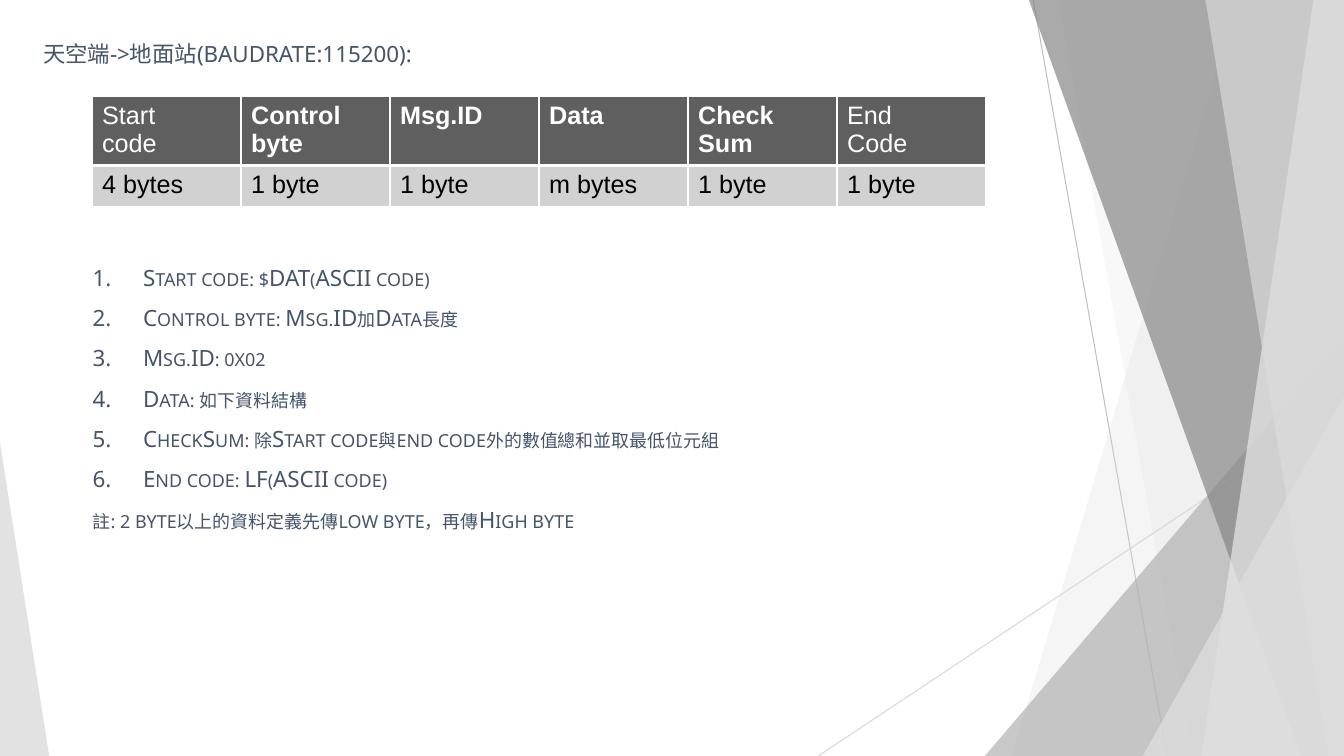
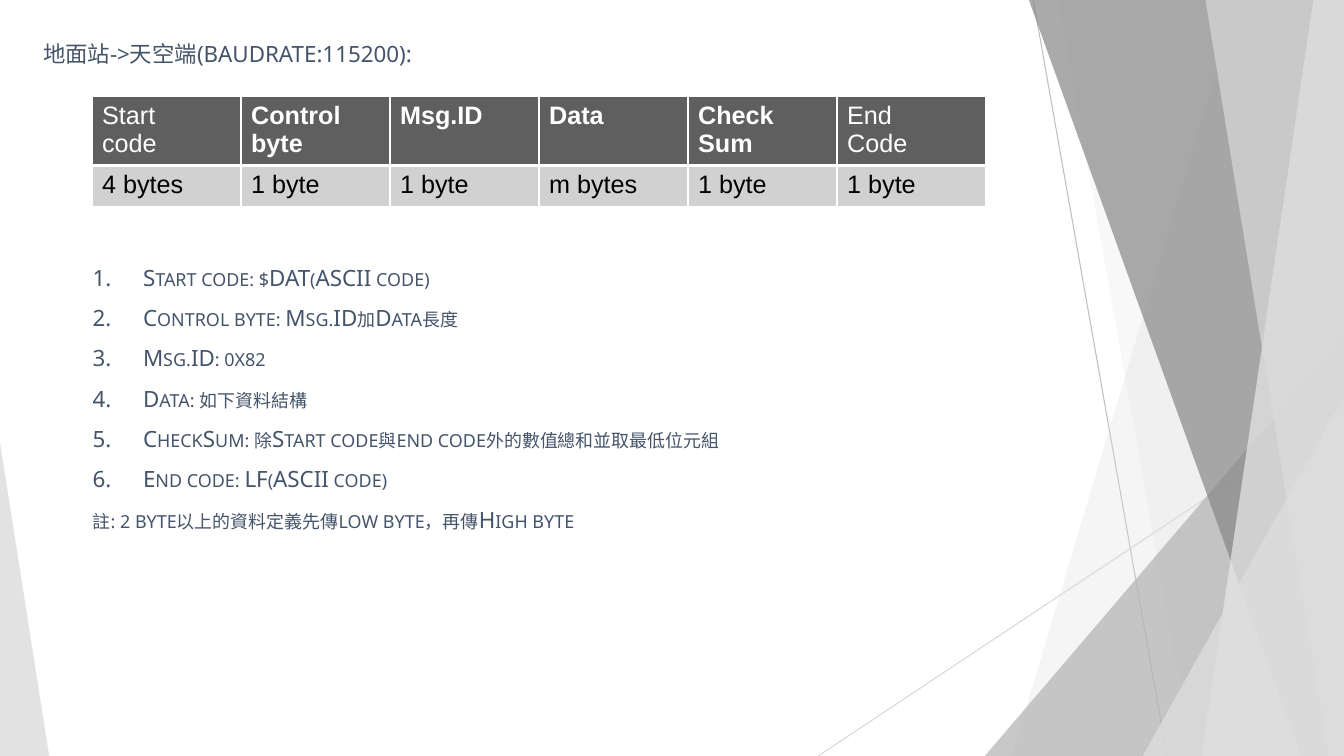
from lxml import etree
from pptx import Presentation
from pptx import util as u
from pptx.dml.color import RGBColor
from pptx.enum import shapes, text
from pptx.oxml import ns

COLORS = {
    "heading": "44546A", "white": "FFFFFF", "black": "000000",
    "header": "5F5F5F", "cell": "D1D1D1",
    "thin_dark": "BFBFBF", "thin_light": "D8D8D8",
    "pale": "DDDDDD", "mid": "B2B2B2", "dark": "858585", "bright": "EAEAEA",
}
BODY_FONT, TABLE_FONT = "Noto Sans", "Arial"
SLIDE_W, SLIDE_H = 33.87, 19.05

RAYS = [
    ((26.04, 0), (29.41, SLIDE_H), "thin_dark"),
    ((SLIDE_W, 10.24), (20.62, SLIDE_H), "thin_light"),
]
FACETS = [
    ("band", (31.19, 25.5), "pale", 29),
    ("band", (26.67, 30.05), "pale", 20),
    ("wedge", (24.82, 8.46, 9.05, 10.59, 1), "mid", 71),
    ("band", (25.93, 32.79), "dark", 69),
    ("band", (33.1, 30.28), "bright", 69),
    ("band", (30.38, 33.48), "pale", 64),
    ("wedge", (28.8, 9.98, 5.07, 9.07, 1), "pale", 80),
    ("wedge", (0, 11.15, 1.24, 7.9, 0), "pale", 84),
]
FRAME_FIELDS = [
    ("Start\ncode", "4 bytes", False),
    ("Control byte", "1 byte", True),
    ("Msg.ID", "1 byte", True),
    ("Data", "m bytes", True),
    ("Check\nSum", "1 byte", True),
    ("End\nCode", "1 byte", False),
]
NOTE = "註: 2 byte以上的資料定義先傳low byte，再傳High byte"
LINKS = [("天空端", "地面站", "0x02"), ("地面站", "天空端", "0x82")]


def rgb(name):
    return RGBColor.from_string(COLORS[name])


def sub(parent, tag, **attributes):
    return etree.SubElement(parent, ns.qn(tag), **attributes)


def write(paragraph, words, size, font=BODY_FONT, color="heading", bold=False,
          small_caps=False, leading=None):
    run = paragraph.add_run()
    run.text = words
    run.font.size = u.Pt(size)
    run.font.name = font
    run.font.bold = bold
    run.font.color.rgb = rgb(color)
    if small_caps:
        run._r.get_or_add_rPr().set("cap", "small")
    paragraph.alignment = text.PP_ALIGN.LEFT
    paragraph.space_before = u.Pt(0)
    if leading:
        paragraph.line_spacing = u.Pt(leading)


def place(placeholder, left, top, width, height):
    placeholder.left, placeholder.top = u.Cm(left), u.Cm(top)
    placeholder.width, placeholder.height = u.Cm(width), u.Cm(height)
    frame = placeholder.text_frame
    frame.word_wrap = True
    frame.auto_size = text.MSO_AUTO_SIZE.NONE
    frame.vertical_anchor = text.MSO_ANCHOR.TOP
    return frame


def set_indent(paragraph, numbered):
    props = paragraph._p.get_or_add_pPr()
    hanging = u.Cm(1.27) if numbered else 0
    props.set("marL", str(hanging))
    props.set("indent", str(-hanging))
    if not numbered:
        sub(props, "a:buNone")
        return
    sub(sub(props, "a:buClr"), "a:srgbClr", val=COLORS["heading"])
    sub(props, "a:buFont", typeface=BODY_FONT)
    sub(props, "a:buAutoNum", type="arabicPeriod")


def add_ray(slide, start, end, color):
    ray = slide.shapes.add_connector(
        shapes.MSO_CONNECTOR.STRAIGHT, *(u.Cm(v) for v in start + end))
    ray.line.color.rgb = rgb(color)
    ray.line.width = u.Pt(0.75)
    sub(ray.element.spPr, "a:effectLst")
    return ray


def add_band(slide, top_x, bottom_x):
    outline = slide.shapes.build_freeform(u.Cm(top_x), 0)
    outline.add_line_segments([
        (u.Cm(SLIDE_W), 0), (u.Cm(SLIDE_W), u.Cm(SLIDE_H)),
        (u.Cm(bottom_x), u.Cm(SLIDE_H))], close=True)
    return outline.convert_to_shape()


def add_wedge(slide, left, top, width, height, apex):
    wedge = slide.shapes.add_shape(
        shapes.MSO_SHAPE.ISOSCELES_TRIANGLE,
        u.Cm(left), u.Cm(top), u.Cm(width), u.Cm(height))
    wedge.adjustments[0] = apex
    return wedge


def add_facet(slide, kind, geometry, color, opacity):
    facet = {"band": add_band, "wedge": add_wedge}[kind](slide, *geometry)
    facet.shadow.inherit = False
    facet.line.fill.background()
    facet.fill.solid()
    facet.fill.fore_color.rgb = rgb(color)
    tint = facet.element.spPr.find(".//" + ns.qn("a:srgbClr"))
    sub(tint, "a:alpha", val=str(opacity * 1000))
    return facet


def decorate_layout(layout, slide):
    for holder in list(layout.placeholders):
        if holder.placeholder_format.idx >= 10:
            holder.element.getparent().remove(holder.element)
    backdrop = [add_ray(slide, *ray) for ray in RAYS]
    backdrop += [add_facet(slide, *facet) for facet in FACETS]
    for position, part in enumerate(backdrop, start=2):
        layout.shapes.element.insert(position, part.element)


def set_borders(cell, **widths):
    props = cell._tc.get_or_add_tcPr()
    for position, side in enumerate("LRTB"):
        edge = etree.Element(ns.qn("a:ln" + side),
                             w=str(u.Pt(widths.get(side, 1))))
        sub(sub(edge, "a:solidFill"), "a:srgbClr", val=COLORS["white"])
        props.insert(position, edge)


def fill_cell(cell, words, fill, color, bold, **borders):
    cell.fill.solid()
    cell.fill.fore_color.rgb = rgb(fill)
    set_borders(cell, **borders)
    frame = cell.text_frame
    for index, line in enumerate(words.split("\n")):
        paragraph = frame.add_paragraph() if index else frame.paragraphs[0]
        write(paragraph, line, 18, font=TABLE_FONT, color=color, bold=bold)


def add_frame_table(slide, left, top, width):
    row_heights = (1.73, 1.04)
    count = len(FRAME_FIELDS)
    table = slide.shapes.add_table(
        2, count, u.Cm(left), u.Cm(top), u.Cm(width),
        u.Cm(sum(row_heights))).table
    for row, height in zip(table.rows, row_heights):
        row.height = u.Cm(height)
    for index, (field, length, bold) in enumerate(FRAME_FIELDS):
        table.columns[index].width = u.Cm(width / count)
        fill_cell(table.cell(0, index), field, "header", "white", bold, B=3)
        fill_cell(table.cell(1, index), length, "cell", "black", False, T=3)


def add_heading(slide, sender, receiver, *box):
    frame = place(slide.shapes.title, *box)
    write(frame.paragraphs[0], f"{sender}->{receiver}(baudrate:115200):", 20,
          small_caps=True, leading=36)


def add_field_list(slide, message_id, *box):
    items = [
        "Start code: $DAT(ASCII code)",
        "Control byte: Msg.ID加Data長度",
        f"Msg.ID: {message_id}",
        "Data: 如下資料結構",
        "CheckSum: 除Start code與end code外的數值總和並取最低位元組",
        "End code: LF(ASCII code)",
        NOTE,
    ]
    frame = place(slide.placeholders[1], *box)
    for index, item in enumerate(items):
        paragraph = frame.add_paragraph() if index else frame.paragraphs[0]
        write(paragraph, item, 16, small_caps=True, leading=28.8)
        set_indent(paragraph, numbered=item != NOTE)


def add_protocol_slide(deck, layout, sender, receiver, message_id):
    slide = deck.slides.add_slide(layout)
    add_heading(slide, sender, receiver, 0.83, 0.33, 23.57, 1.55)
    add_frame_table(slide, 2.32, 2.44, 22.53)
    add_field_list(slide, message_id, 2.08, 6.18, 23.42, 7.44)
    return slide


def main():
    deck = Presentation()
    deck.slide_width, deck.slide_height = u.Cm(SLIDE_W), u.Cm(SLIDE_H)
    layout = deck.slide_layouts[1]
    protocol_slides = [add_protocol_slide(deck, layout, *link) for link in LINKS]
    decorate_layout(layout, protocol_slides[0])
    deck.save("out.pptx")


if __name__ == "__main__":
    main()
